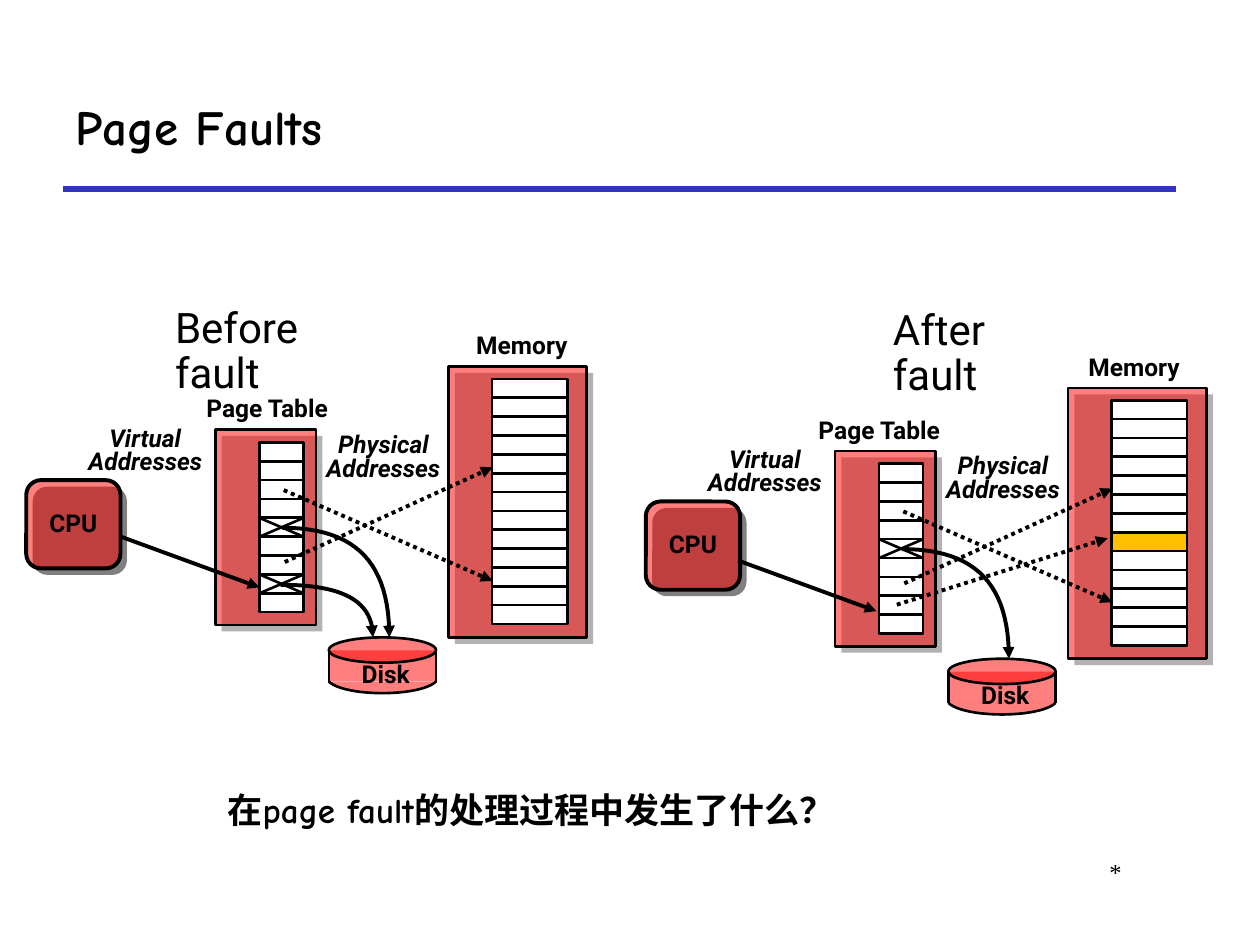
from lxml.etree import SubElement
from pptx import Presentation
from pptx.dml.color import RGBColor
from pptx.enum.dml import MSO_LINE
from pptx.enum.shapes import MSO_CONNECTOR, MSO_SHAPE
from pptx.enum.text import MSO_ANCHOR, PP_ALIGN
from pptx.oxml.ns import qn
from pptx.util import Cm, Pt

COLORS = {
    "ink": "000000", "paper": "FFFFFF", "rule": "3333CC", "red": "FF0000",
    "dark": "808080", "shade": "B2B2B2", "gold": "FFC000",
}
ROW = 0.38
SHADE = 0.13


def tint(name):
    return RGBColor.from_string(COLORS[name])


def write(frame, text, font="Roboto", size=14, bold=True, italic=False,
          align=PP_ALIGN.LEFT, anchor=MSO_ANCHOR.TOP, space=0.9, wrap=True):
    frame.word_wrap = wrap
    frame.vertical_anchor = anchor
    frame.text = text
    for para in frame.paragraphs:
        para.alignment = align
        para.line_spacing = space
        para.font.name = font
        para.font.size = Pt(size)
        para.font.bold = bold
        para.font.italic = italic
        para.font.color.rgb = tint("ink")


class Board:
    def __init__(self, slide):
        self.slide = slide
        self.shapes = slide.shapes
        self.shift(0, 0)

    def shift(self, dx, dy):
        self.dx, self.dy = dx, dy

    def spot(self, x, y):
        return Cm(x + self.dx), Cm(y + self.dy)

    def title(self, text, x, y, w, h):
        title = self.shapes.title
        title.left, title.top = self.spot(x, y)
        title.width, title.height = Cm(w), Cm(h)
        write(title.text_frame, text, font="Comic Neue", size=28,
              anchor=MSO_ANCHOR.MIDDLE, space=1.0)

    def label(self, text, x, y, w, h, **style):
        box = self.shapes.add_textbox(*self.spot(x, y), Cm(w), Cm(h))
        write(box.text_frame, text, **style)

    def paint(self, shape, fill, line, clear):
        shape.shadow.inherit = False
        if fill:
            shape.fill.solid()
            shape.fill.fore_color.rgb = tint(fill)
            if clear:
                color = shape.element.spPr.find(".//" + qn("a:srgbClr"))
                SubElement(color, qn("a:alpha"), val="50000")
        else:
            shape.fill.background()
        if line:
            self.stroke(shape.line, line)
        else:
            shape.line.fill.background()

    def stroke(self, line, width, color="ink"):
        line.color.rgb = tint(color)
        line.width = Pt(width)

    def tip(self, shape):
        ln = shape.element.spPr.find(qn("a:ln"))
        SubElement(ln, qn("a:tailEnd"), type="triangle")

    def shape(self, x, y, w, h, fill, line=None, clear=False,
              kind=MSO_SHAPE.RECTANGLE):
        item = self.shapes.add_shape(kind, *self.spot(x, y), Cm(w), Cm(h))
        self.paint(item, fill, line, clear)
        return item

    def block(self, x, y, w, h, shade, line, kind=MSO_SHAPE.RECTANGLE):
        self.shape(x + SHADE, y + SHADE, w, h, shade, kind=kind)
        return self.shape(x, y, w, h, "red", line, True, kind)

    def stack(self, x, y, w, count, marked=None):
        for i in range(count):
            fill = "gold" if i == marked else "paper"
            self.shape(x, y + i * ROW, w, ROW, fill, 1.5)

    def line(self, x1, y1, x2, y2, width=1.5, color="ink",
             dots=False, arrow=False):
        item = self.shapes.add_connector(
            MSO_CONNECTOR.STRAIGHT, *self.spot(x1, y1), *self.spot(x2, y2))
        self.stroke(item.line, width, color)
        if dots:
            item.line.dash_style = MSO_LINE.ROUND_DOT
        if arrow:
            self.tip(item)
        SubElement(item.element.spPr, qn("a:effectLst"))

    def curve(self, a, b, c, d, fill=None, width=1.5, arrow=False, steps=24):
        def at(t):
            u = 1 - t
            mix = (u ** 3, 3 * u * u * t, 3 * u * t * t, t ** 3)
            return self.spot(*(sum(m * p[k] for m, p in zip(mix, (a, b, c, d)))
                               for k in (0, 1)))

        path = self.shapes.build_freeform(*at(0))
        path.add_line_segments([at(i / steps) for i in range(1, steps + 1)],
                               close=False)
        item = path.convert_to_shape()
        self.paint(item, fill, width, bool(fill))
        if arrow:
            self.tip(item)

    def bend(self, x1, y1, x2, y2):
        self.curve((x1, y1), (x1 + 0.71 * (x2 - x1), y1),
                   (x2, y1 + 0.34 * (y2 - y1)), (x2, y2),
                   width=2.25, arrow=True)

    def cross(self, x, y, w):
        self.line(x, y + ROW, x + w, y)
        self.line(x + w, y + ROW, x, y)

    def disk(self, x, y, w):
        mid, low = y + 0.26, y + 0.89
        self.shape(x, mid, w, 0.63, "red", clear=True)
        self.shape(x, y, w, 0.51, "red", 1.5, True, MSO_SHAPE.OVAL)
        for side in (x, x + w):
            self.line(side, mid, side, low)
        self.curve((x, low), (x + 0.15 * w, low + 0.31),
                   (x + 0.85 * w, low + 0.31), (x + w, low), fill="red")
        self.label("Disk", x + 0.41, y + 0.38, 1.6, 0.79)

    def panel(self, dx, dy, nudge, faults, bends, marked=None):
        self.shift(dx, dy)
        cpu = self.block(0.53, 9.68, 1.9, 1.78, "dark", 2.25,
                         MSO_SHAPE.ROUNDED_RECTANGLE)
        write(cpu.text_frame, "CPU", align=PP_ALIGN.CENTER,
              anchor=MSO_ANCHOR.MIDDLE, wrap=False)
        self.block(9.04, 7.39, 2.79, 5.46, "shade", 1.5)
        self.stack(9.92, 7.64, 1.52, 13, marked)
        self.label("Memory", 9.35 + nudge, 6.6, 2.6, 0.79)
        self.block(4.34, 8.66, 2.03, 3.94, "shade", 1.5)
        self.stack(5.23, 8.92, 0.89, 9)
        self.label("Page Table", 3.91 + nudge, 7.87, 3.1, 0.79)
        self.line(5.72, 9.88, 9.93, 11.71, 2.25, dots=True, arrow=True)
        self.line(5.74, 11.33, 9.93, 9.42, 2.25, dots=True, arrow=True)
        for row in faults:
            self.cross(5.23, 8.92 + row * ROW, 0.89)
        self.disk(6.63, 12.85, 2.16)
        for ends in bends:
            self.bend(*ends)
        for word, x, y in (("Virtual", 1.42, 8.51), ("Physical", 6.22, 8.64)):
            self.label(word + "\nAddresses", x, y, 3.02, 1.19, italic=True,
                       align=PP_ALIGN.CENTER, space=0.8)
        self.shift(0, 0)


def main():
    deck = Presentation()
    deck.slide_width, deck.slide_height = Cm(25.4), Cm(19.05)
    board = Board(deck.slides.add_slide(deck.slide_layouts[5]))
    board.line(1.27, 3.81, 23.7, 3.81, 3, "rule")
    board.label("*", 19.25, 17.15, 3.61, 1.27, font="Times New Roman",
                bold=False, align=PP_ALIGN.RIGHT, space=1.0)
    board.title("Page Faults", 1.27, 1.27, 22.43, 2.54)

    far = (5.69, 10.64, 7.85, 12.85)
    near = (5.66, 11.79, 7.52, 12.85)
    board.panel(0, 0, 0, (7, 4), (far, near))
    board.panel(12.49, 0.43, -0.15, (4,), (far,), 7)
    board.line(18.08, 12.19, 22.33, 10.85, 2.25, dots=True, arrow=True)

    for text, x, y, w in (("Before fault", 3.28, 6.07, 4.5),
                          ("After fault", 17.75, 6.1, 4.1)):
        board.label(text, x, y, w, 1.17, size=24, bold=False)
    for x, y in ((2.44, 10.82), (14.88, 11.3)):
        board.line(x, y, x + 2.79, y + 1.02, 2.25, arrow=True)
    board.label("在page fault的处理过程中发生了什么？", 4.34, 15.77, 13.5, 1.09,
                font="Comic Neue", size=20, space=1.0)
    deck.save("out.pptx")


if __name__ == "__main__":
    main()
